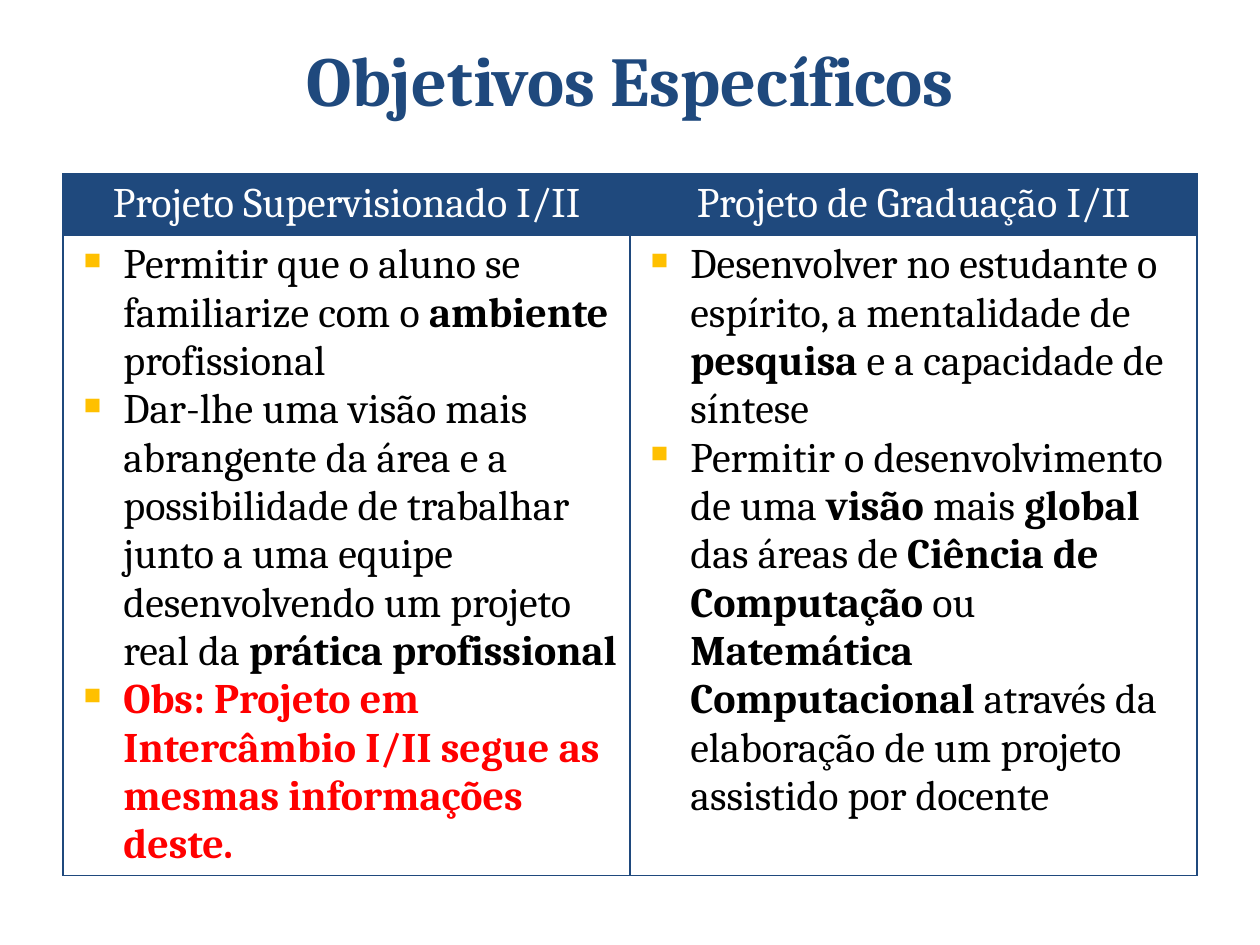
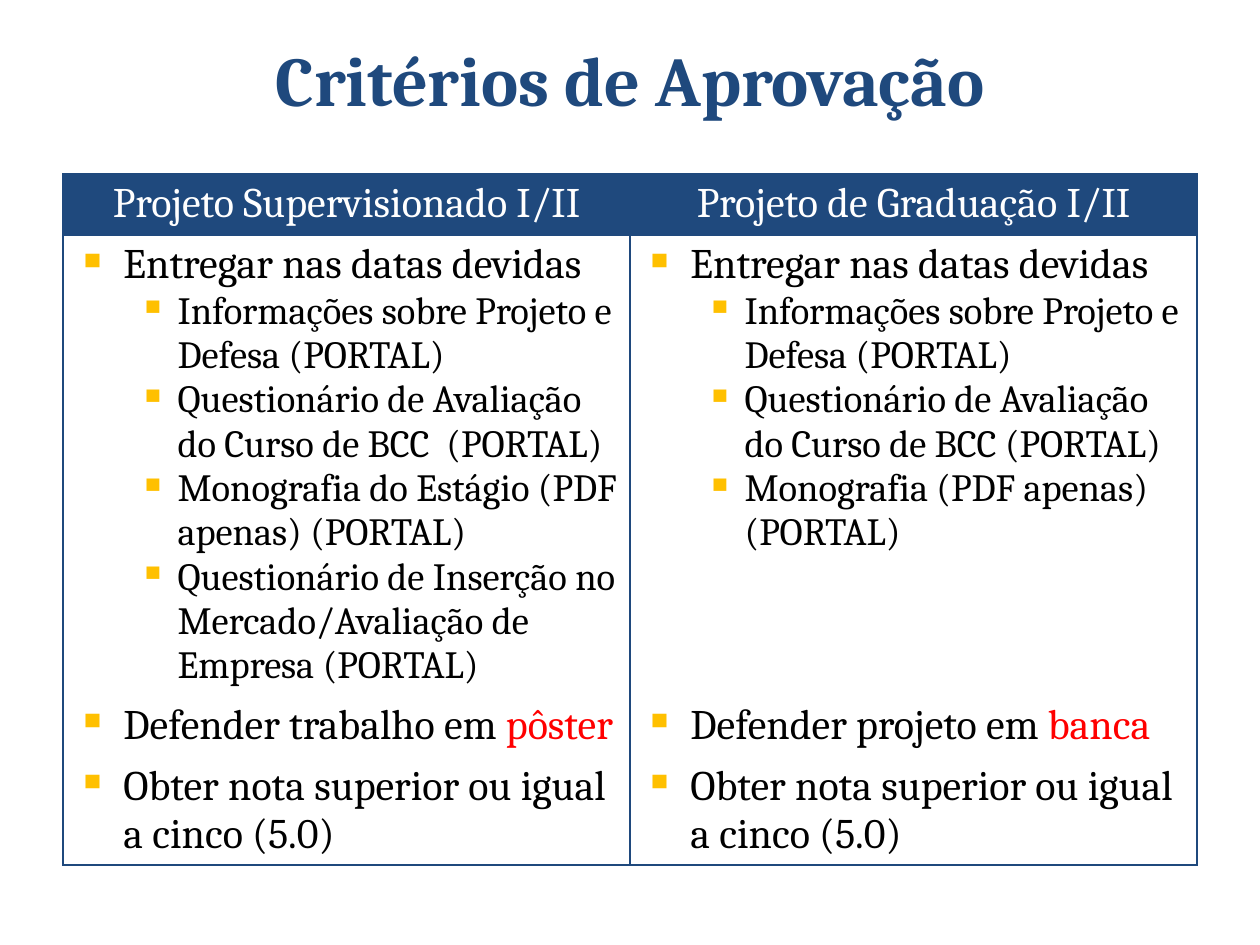
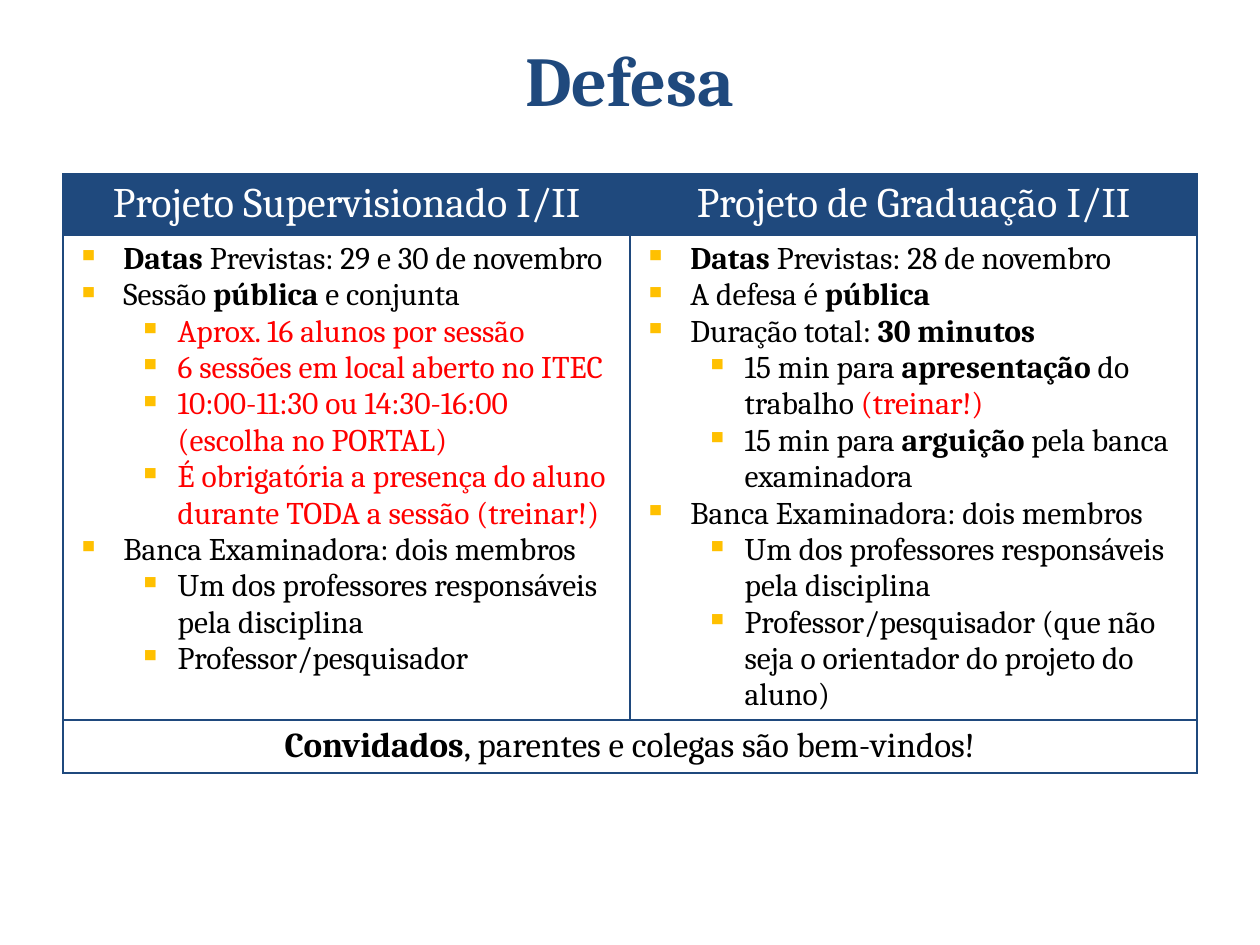
"""Build three slides comparing Projeto Supervisionado and Projeto de Graduação."""
import pptx
import pptx.dml.color
import pptx.enum.text
import pptx.oxml
import pptx.oxml.ns
import pptx.util
import lxml.etree

Inches = pptx.util.Inches
Pt = pptx.util.Pt
RGBColor = pptx.dml.color.RGBColor
CENTER = pptx.enum.text.PP_ALIGN.CENTER
qn = pptx.oxml.ns.qn

FONT = "Cambria"
COLORS = {"navy": "1F497D", "gold": "FFC000", "red": "FF0000", "black": "000000", "white": "FFFFFF"}
INDENTS = [(0.38, -0.37), (0.81, -0.31)]
HEADERS = ["Projeto Supervisionado I/II", "Projeto de Graduação I/II"]
BOLD, RED, SUBITEM = "*", "~", ">"

slides = [
    {
        "title": "Objetivos Específicos",
        "sizes": [24, 24],
        "height": 5.4,
        "row_lines": True,
        "rows": [
            [
                [
                    "Permitir que o aluno se familiarize com o *ambiente* profissional",
                    "Dar-lhe uma visão mais abrangente da área e a possibilidade de trabalhar junto a uma "
                    "equipe desenvolvendo um projeto real da *prática profissional*",
                    "*~Obs: Projeto em Intercâmbio I/II segue as mesmas informações deste.~*",
                ],
                [
                    "Desenvolver no estudante o espírito, a mentalidade de *pesquisa* e a capacidade de síntese",
                    "Permitir o desenvolvimento de uma *visão* mais *global* das áreas de *Ciência de "
                    "Computação *ou *Matemática Computacional* através da elaboração de um projeto "
                    "assistido por docente",
                ],
            ],
        ],
    },
    {
        "title": "Critérios de Aprovação",
        "sizes": [24, 22],
        "height": 6.07,
        "row_lines": False,
        "rows": [
            [
                [
                    "Entregar nas datas devidas",
                    ">Informações sobre Projeto e Defesa (PORTAL)",
                    ">Questionário de Avaliação do Curso de BCC  (PORTAL)",
                    ">Monografia do Estágio (PDF apenas) (PORTAL)",
                    ">Questionário de Inserção no Mercado/Avaliação de Empresa (PORTAL)",
                ],
                [
                    "Entregar nas datas devidas",
                    ">Informações sobre Projeto e Defesa (PORTAL)",
                    ">Questionário de Avaliação do Curso de BCC (PORTAL)",
                    ">Monografia (PDF apenas) (PORTAL)",
                ],
            ],
            [["Defender trabalho em ~pôster~"], ["Defender projeto em ~banca~"]],
            [["Obter nota superior ou igual a cinco (5.0)"]] * 2,
        ],
    },
    {
        "title": "Defesa",
        "sizes": [18, 18],
        "height": 4.93,
        "row_lines": True,
        "rows": [
            [
                [
                    "*Datas* Previstas: 29 e 30 de novembro",
                    "Sessão *pública* e conjunta",
                    ">~Aprox. 16 alunos por sessão~",
                    ">~6 sessões em local aberto no ITEC~",
                    ">~10:00-11:30 ou 14:30-16:00 (escolha no PORTAL)~",
                    ">~É obrigatória a presença do aluno durante TODA a sessão (treinar!)~",
                    "Banca Examinadora: dois membros",
                    ">Um dos professores responsáveis pela disciplina",
                    ">Professor/pesquisador",
                ],
                [
                    "*Datas* Previstas: 28 de novembro",
                    "A defesa é *pública*",
                    "Duração total: *30 minutos*",
                    ">15 min para *apresentação* do trabalho ~(treinar!)~",
                    ">15 min para *arguição* pela banca examinadora",
                    "Banca Examinadora: dois membros",
                    ">Um dos professores responsáveis pela disciplina",
                    ">Professor/pesquisador (que não seja o orientador do projeto do aluno)",
                ],
            ],
        ],
        "closing": "*Convidados*, parentes e colegas são bem-vindos!",
    },
]


def write_paragraph(paragraph, text, size, color, level=None):
    """Write marked-up text, bulleted when a level is given and centred otherwise."""
    if level is None:
        paragraph.alignment = CENTER
    else:
        paragraph.level = level
        properties = paragraph._p.get_or_add_pPr()
        left, hanging = INDENTS[level]
        properties.set("marL", str(Inches(left)))
        properties.set("indent", str(Inches(hanging)))
        bullet_color = lxml.etree.SubElement(properties, qn("a:buClr"))
        lxml.etree.SubElement(bullet_color, qn("a:srgbClr"), val=COLORS["gold"])
        lxml.etree.SubElement(properties, qn("a:buChar"), char="▪")
    paragraph.font.name = FONT
    paragraph.font.size = Pt(size)
    paragraph.font.color.rgb = RGBColor.from_string(COLORS[color])
    for bold_index, bold_part in enumerate(text.split(BOLD)):
        for red_index, part in enumerate(bold_part.split(RED)):
            if part:
                run = paragraph.add_run()
                run.text = part
                if bold_index % 2:
                    run.font.bold = True
                if red_index % 2:
                    run.font.color.rgb = RGBColor.from_string(COLORS["red"])


def style_cell(cell, fill, hidden_sides):
    """Fill the cell and draw its borders, leaving out the hidden sides."""
    cell.fill.solid()
    cell.fill.fore_color.rgb = RGBColor.from_string(COLORS[fill])
    properties = cell._tc.get_or_add_tcPr()
    for position, side in enumerate("LRTB"):
        line = pptx.oxml.parse_xml(f'<a:ln{side} {pptx.oxml.ns.nsdecls("a")} w="{Pt(1)}"/>')
        if side in hidden_sides:
            lxml.etree.SubElement(line, qn("a:noFill"))
        else:
            line_fill = lxml.etree.SubElement(line, qn("a:solidFill"))
            lxml.etree.SubElement(line_fill, qn("a:srgbClr"), val=COLORS["navy"])
        properties.insert(position, line)


presentation = pptx.Presentation()
presentation.slide_width = Inches(10)
presentation.slide_height = Inches(7.5)

for content in slides:
    slide = presentation.slides.add_slide(presentation.slide_layouts[5])
    title = slide.shapes.title
    title.left, title.top, title.width, title.height = Inches(0.5), Inches(0), Inches(9), Inches(1.25)
    title.text_frame.vertical_anchor = pptx.enum.text.MSO_ANCHOR.MIDDLE
    write_paragraph(title.text_frame.paragraphs[0], content["title"], 40, "navy")
    title.text_frame.paragraphs[0].font.bold = True

    body_count = len(content["rows"])
    row_count = 1 + body_count + ("closing" in content)
    table_shape = slide.shapes.add_table(row_count, 2, Inches(0.5), Inches(1.38), Inches(9), Inches(1))
    table = table_shape.table
    table.first_row = False
    table.horz_banding = False
    for row in table.rows:
        row.height = Inches(0.41)
    table_shape.height = Inches(content["height"])

    for column, header in enumerate(HEADERS):
        cell = table.cell(0, column)
        style_cell(cell, "navy", "")
        write_paragraph(cell.text_frame.paragraphs[0], header, 24, "white")

    for row_index, body_row in enumerate(content["rows"], start=1):
        hidden_sides = ""
        if not content["row_lines"]:
            hidden_sides += "T" if row_index > 1 else ""
            hidden_sides += "B" if row_index < body_count else ""
        for column, items in enumerate(body_row):
            cell = table.cell(row_index, column)
            style_cell(cell, "white", hidden_sides)
            for item_index, item in enumerate(items):
                frame = cell.text_frame
                paragraph = frame.add_paragraph() if item_index else frame.paragraphs[0]
                level = int(item.startswith(SUBITEM))
                color = "black"
                write_paragraph(paragraph, item.lstrip(SUBITEM), content["sizes"][level], color, level)

    if "closing" in content:
        closing_cells = [table.cell(row_count - 1, column) for column in range(2)]
        closing_cells[0].merge(closing_cells[1])
        for cell in closing_cells:
            style_cell(cell, "white", "")
        write_paragraph(closing_cells[0].text_frame.paragraphs[0], content["closing"], 20, "black")

presentation.save("out.pptx")
